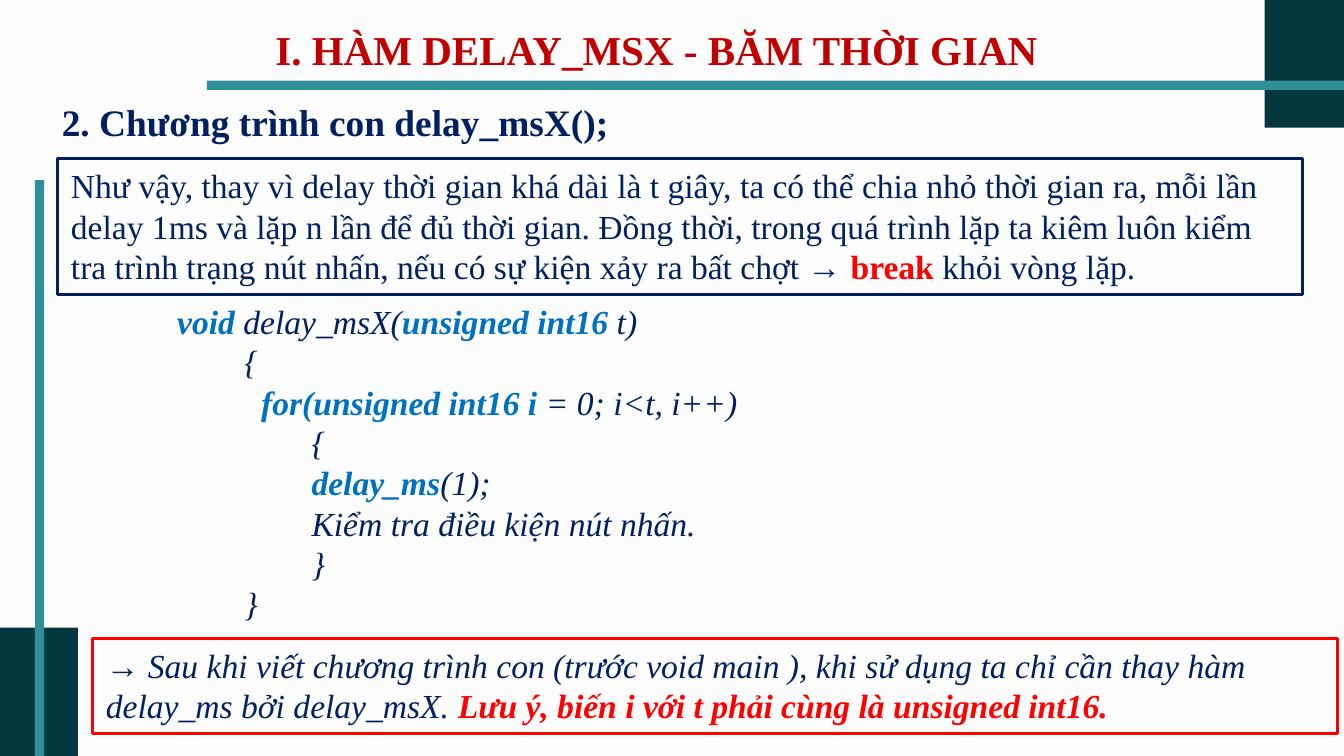
from pptx import Presentation
from pptx import util as u
from pptx.dml.color import RGBColor
from pptx.enum import shapes, text

THEME = {
    "font": "Times New Roman", "bg": "FDFDFD",
    "dark": "04383F", "teal": "318F9A", "navy": "002060",
    "title": "C00000", "alert": "FF0000", "code": "0070C0",
    "title_size": 22, "heading_size": 20, "body_size": 18,
    "border": 1.5, "tab": 0.5,
}

# Content: a run is (text, colour, style), style holding b and/or i
TITLE = [("I. HÀM DELAY_MSX - BĂM THỜI GIAN", "title", "b")]
HEADING = [("2. Chương trình con delay_msX();", "navy", "b")]
IDEA = [
    ("Như vậy, thay vì delay thời gian khá dài là t giây, ta có thể chia nhỏ "
     "thời gian ra, mỗi lần delay 1ms và lặp n lần để đủ thời gian. Đồng thời, "
     "trong quá trình lặp ta kiêm luôn kiểm tra trình trạng nút nhấn, nếu có sự "
     "kiện xảy ra bất chợt → ", "navy", ""),
    ("break", "alert", "b"),
    (" khỏi vòng lặp.", "navy", ""),
]
CODE = [  # (tab level, runs)
    (0, [("void", "code", "bi"), (" delay_msX(", "navy", "i"),
         ("unsigned int16", "code", "bi"), (" t)", "navy", "i")]),
    (1, [("{", "navy", "i")]),
    (1, [("  ", "navy", "i"), ("for(unsigned int16 i ", "code", "bi"),
         ("= 0; i<t, i++)", "navy", "i")]),
    (2, [("{", "navy", "i")]),
    (2, [("delay_ms", "code", "bi"), ("(1);", "navy", "i")]),
    (2, [("Kiểm tra điều kiện nút nhấn.", "navy", "i")]),
    (2, [("}", "navy", "i")]),
    (1, [("}", "navy", "i")]),
]
NOTE = [
    ("→ Sau khi viết chương trình con (trước void main ), khi sử dụng ta chỉ "
     "cần thay hàm delay_ms bởi delay_msX. ", "navy", "i"),
    ("Lưu ý, biến i với t phải cùng là unsigned int16.", "alert", "bi"),
]

# Corner blocks and bars, bleeding over the edges: left, top, width, height, colour
FRAME = [
    (9.41, -0.12, 0.71, 1.07, "dark"),
    (1.54, 0.6, 8.62, 0.07, "teal"),
    (-0.12, 4.67, 0.7, 1.09, "dark"),
    (0.26, 1.34, 0.07, 4.5, "teal"),
]

# Text boxes: place, lines, size, left inset, border colour
BOXES = [
    ((1.87, 0.13, 7.54, 0.47), [(0, TITLE)], "title_size", 0.18, None),
    ((0.29, 0.69, 7.54, 0.44), [(0, HEADING)], "heading_size", 0.17, None),
    ((0.43, 1.18, 9.26, 1.01), [(0, IDEA)], "body_size", 0.1, "navy"),
    ((1.22, 2.19, 9.26, 2.52), CODE, "body_size", 0.1, None),
    ((0.69, 4.75, 9.26, 0.71), [(0, NOTE)], "body_size", 0.1, "alert"),
]


def rgb(name):
    return RGBColor.from_string(THEME[name])


def add_rect(s, place):
    sp = s.shapes.add_shape(shapes.MSO_SHAPE.RECTANGLE, *map(u.Inches, place))
    sp.shadow.inherit = False
    return sp


def add_text(s, place, lines, size, inset, border):
    if border:
        sp = add_rect(s, place)
        sp.fill.background()
        sp.line.color.rgb = rgb(border)
        sp.line.width = u.Pt(THEME["border"])
    else:
        sp = s.shapes.add_textbox(*map(u.Inches, place))
    tf = sp.text_frame
    tf.word_wrap = True
    tf.vertical_anchor = text.MSO_ANCHOR.TOP
    tf.margin_left = u.Inches(inset)
    for n, (level, runs) in enumerate(lines):
        p = tf.add_paragraph() if n else tf.paragraphs[0]
        p.alignment = text.PP_ALIGN.LEFT
        p._p.get_or_add_pPr().set("marL", str(u.Inches(level * THEME["tab"])))
        for words, colour, style in runs:
            r = p.add_run()
            r.text = words
            r.font.name = THEME["font"]
            r.font.size = u.Pt(THEME[size])
            r.font.bold = "b" in style
            r.font.italic = "i" in style
            r.font.color.rgb = rgb(colour)


prs = Presentation()
prs.slide_width = u.Inches(10)
prs.slide_height = u.Inches(10 * 9 / 16)
s = prs.slides.add_slide(prs.slide_layouts[6])
s.background.fill.solid()
s.background.fill.fore_color.rgb = rgb("bg")

# Decorative frame
for *place, colour in FRAME:
    sp = add_rect(s, place)
    sp.fill.solid()
    sp.fill.fore_color.rgb = rgb(colour)
    sp.line.fill.background()

# Title, heading, explanation, code and note
for box in BOXES:
    add_text(s, *box)

prs.save("out.pptx")
